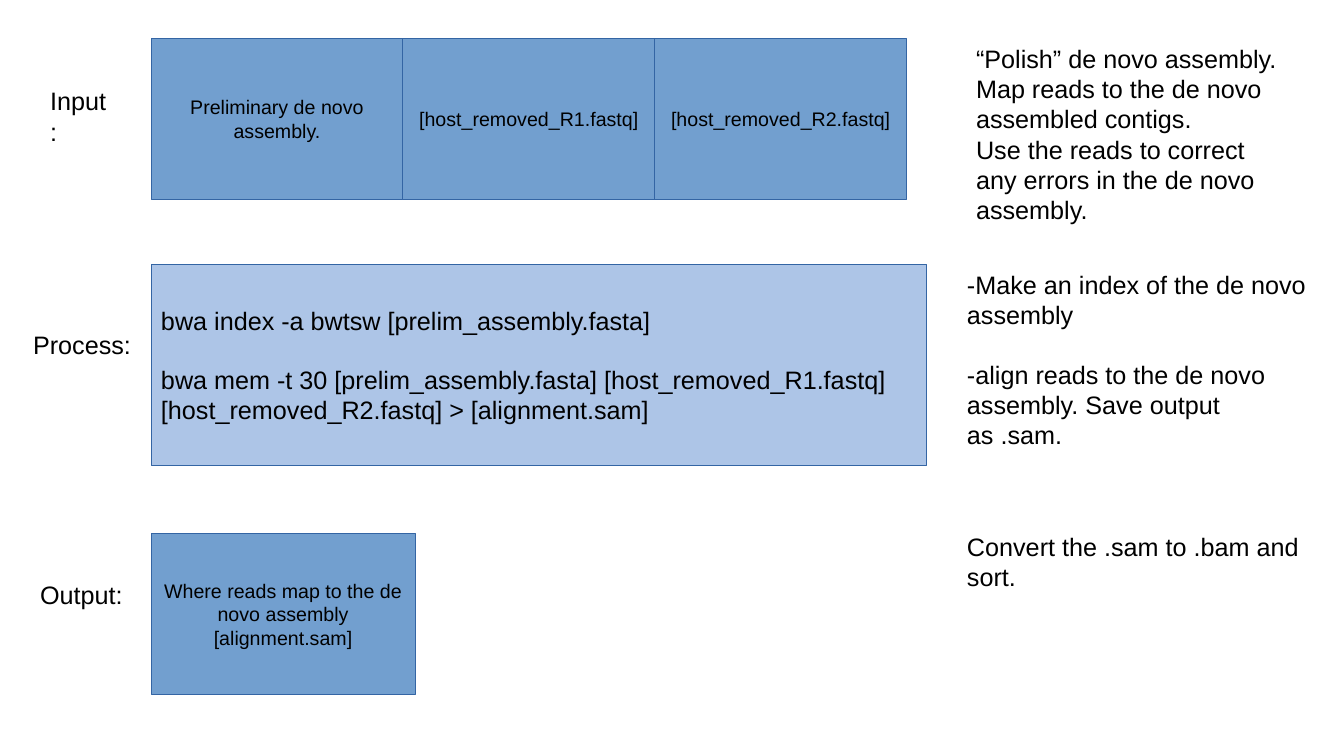
from dataclasses import dataclass

from pptx import Presentation
from pptx.dml.color import RGBColor
from pptx.enum.shapes import MSO_SHAPE
from pptx.enum.text import MSO_ANCHOR, PP_ALIGN
from pptx.util import Inches, Pt


@dataclass(frozen=True)
class Theme:
    font: str = "Arial"
    text: RGBColor = RGBColor(0x00, 0x00, 0x00)
    file_fill: RGBColor = RGBColor(0x72, 0x9F, 0xCF)
    command_fill: RGBColor = RGBColor(0xAD, 0xC5, 0xE7)
    outline: RGBColor = RGBColor(0x34, 0x65, 0xA4)
    body_size: Pt = Pt(18)
    file_size: Pt = Pt(14)
    paragraph_gap: Pt = Pt(21)


THEME = Theme()

presentation = Presentation()
presentation.slide_width = Inches(13.34)
presentation.slide_height = Inches(7.5)
slide = presentation.slides.add_slide(presentation.slide_layouts[6])


def write(shape, paragraphs, size, align=PP_ALIGN.LEFT, gap_before=None):
    """Fill a shape with paragraphs; gap_before is the index of the one set apart."""
    frame = shape.text_frame
    frame.word_wrap = True
    frame.text = "\n".join(paragraphs)
    for index, paragraph in enumerate(frame.paragraphs):
        paragraph.alignment = align
        paragraph.font.name = THEME.font
        paragraph.font.size = size
        paragraph.font.color.rgb = THEME.text
        if index == gap_before:
            paragraph.space_before = THEME.paragraph_gap


def add_box(left, top, width, height, fill):
    box = slide.shapes.add_shape(
        MSO_SHAPE.RECTANGLE, Inches(left), Inches(top), Inches(width), Inches(height)
    )
    box.shadow.inherit = False
    box.fill.solid()
    box.fill.fore_color.rgb = fill
    box.line.color.rgb = THEME.outline
    box.line.width = Pt(0.75)
    box.text_frame.vertical_anchor = MSO_ANCHOR.MIDDLE
    return box


# Commands of the process step
commands = add_box(1.5, 2.62, 7.7, 2, THEME.command_fill)
write(
    commands,
    [
        "bwa index -a bwtsw [prelim_assembly.fasta]",
        "bwa mem -t 30 [prelim_assembly.fasta] [host_removed_R1.fastq]",
        "[host_removed_R2.fastq] > [alignment.sam]",
    ],
    THEME.body_size,
    gap_before=1,
)

# Step labels on the left and explanations on the right
captions = [
    (0.4, 0.8, 0.82, 0.37, ["Input:"], None),
    (0.23, 3.22, 1.17, 0.37, ["Process:"], None),
    (0.3, 5.7, 1.02, 0.38, ["Output:"], None),
    (9.59, 0.38, 3.23, 0.37, [
        "“Polish” de novo assembly. Map reads to the de novo assembled contigs.",
        "Use the reads to correct any errors in the de novo assembly.",
    ], None),
    (9.5, 2.62, 3.7, 2.04, [
        "-Make an index of the de novo assembly",
        "-align reads to the de novo assembly. Save output as .sam.",
    ], 1),
    (9.5, 5.22, 3.7, 1.48, ["Convert the .sam to .bam and sort."], None),
]
for left, top, width, height, paragraphs, gap_before in captions:
    caption = slide.shapes.add_textbox(
        Inches(left), Inches(top), Inches(width), Inches(height)
    )
    write(caption, paragraphs, THEME.body_size, gap_before=gap_before)

# Input files side by side, then the output file
input_width = 2.5
input_files = [
    "Preliminary de novo assembly.",
    "[host_removed_R1.fastq]",
    "[host_removed_R2.fastq]",
]
files = [
    (1.5 + column * input_width, 0.38, input_width, [name])
    for column, name in enumerate(input_files)
]
files.append(
    (1.5, 5.29, 2.62, ["Where reads map to the de novo assembly", "[alignment.sam]"])
)
for left, top, width, paragraphs in files:
    file_box = add_box(left, top, width, 1.6, THEME.file_fill)
    write(file_box, paragraphs, THEME.file_size, PP_ALIGN.CENTER)

presentation.save("out.pptx")
